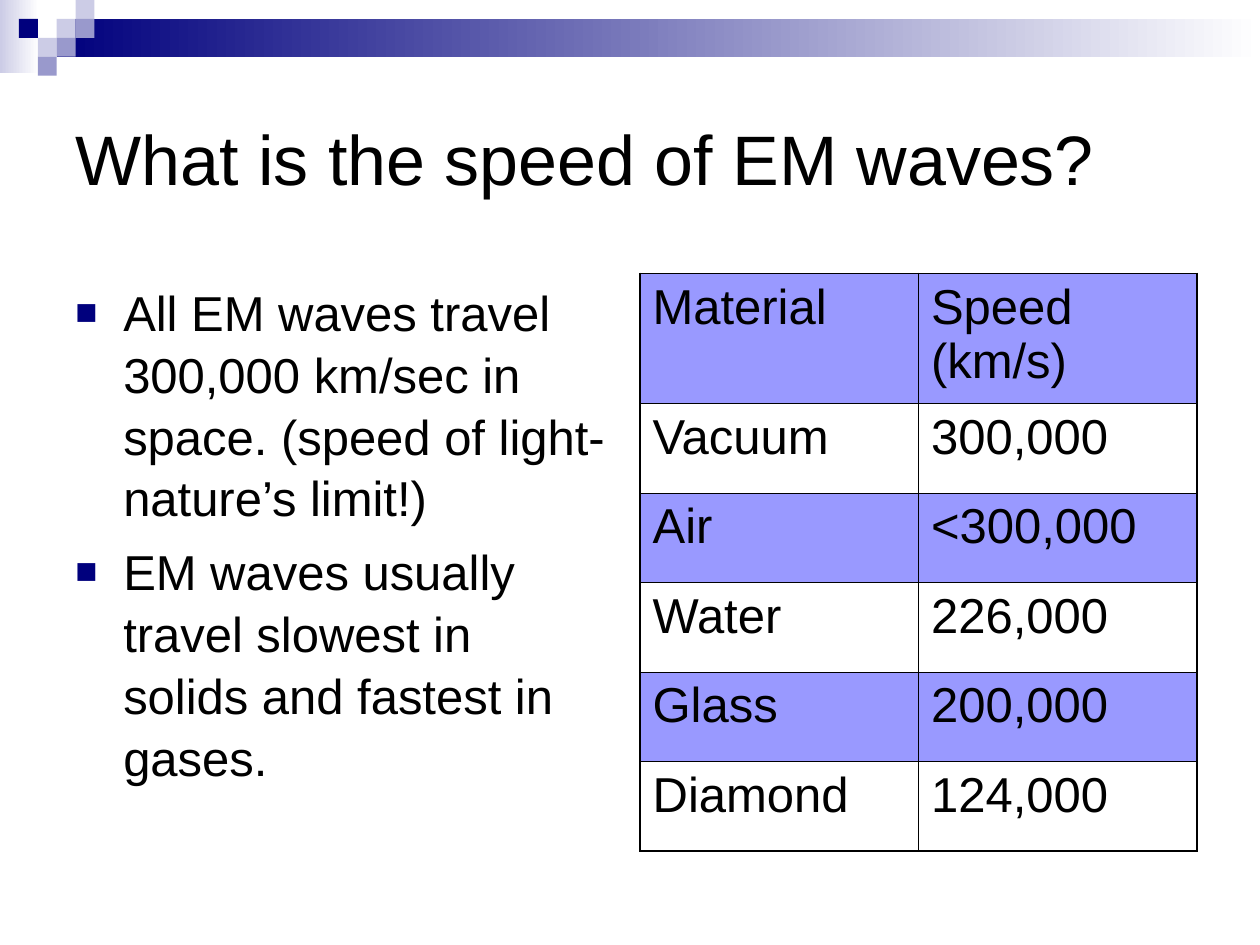
from typing import NamedTuple

from lxml.etree import SubElement
from pptx import Presentation
from pptx.dml.color import RGBColor
from pptx.enum.shapes import MSO_SHAPE
from pptx.enum.text import MSO_ANCHOR, MSO_AUTO_SIZE, PP_ALIGN
from pptx.oxml.ns import qn
from pptx.util import Inches, Pt

BLACK = RGBColor(0x00, 0x00, 0x00)
WHITE = RGBColor(0xFF, 0xFF, 0xFF)
NAVY = RGBColor(0x00, 0x00, 0x7D)
LILAC = RGBColor(0xCC, 0xCC, 0xE6)
MAUVE = RGBColor(0x99, 0x99, 0xCC)
PERIWINKLE = RGBColor(0x99, 0x99, 0xFF)

FONT = "Arial"
UNIT = 0.15  # side of a square in the corner mosaic
MARGIN = 0.5
CONTENT_TOP = 2.17
COLUMN_WIDTH = 4.42
TABLE_LEFT = 10 - MARGIN - COLUMN_WIDTH
HEADER_HEIGHT, ROW_HEIGHT = 1.03, 0.71
INNER_LINE, OUTER_LINE = 0.45, 1.08

FACTS = [
    "All EM waves travel 300,000 km/sec in space. (speed of light-nature’s limit!)",
    "EM waves usually travel slowest in solids and fastest in gases.",
]
SPEEDS = [
    ("Material", "Speed (km/s)"),
    ("Vacuum", "300,000"),
    ("Air", "<300,000"),
    ("Water", "226,000"),
    ("Glass", "200,000"),
    ("Diamond", "124,000"),
]


class Band(NamedTuple):
    """A rectangle fading to white, in inches."""
    left: float
    top: float
    width: float
    height: float
    color: RGBColor


class Tile(NamedTuple):
    column: int
    row: int
    color: RGBColor


BANDS = [Band(0, 0, 0.31, 0.58, LILAC), Band(0.45, 0.15, 9.55, 0.3, NAVY)]
TILES = [
    Tile(3, 1, LILAC), Tile(4, 0, LILAC), Tile(4, 1, MAUVE), Tile(2, 2, LILAC),
    Tile(1, 1, NAVY), Tile(3, 2, MAUVE), Tile(2, 3, MAUVE),
]


def add_rectangle(slide, left: float, top: float, width: float, height: float):
    rectangle = slide.shapes.add_shape(
        MSO_SHAPE.RECTANGLE, Inches(left), Inches(top), Inches(width), Inches(height))
    rectangle.shadow.inherit = False
    rectangle.line.fill.background()
    return rectangle


def draw_band(slide, band: Band) -> None:
    fill = add_rectangle(slide, *band[:4]).fill
    fill.gradient()
    fill.gradient_angle = 0
    for stop, color in zip(fill.gradient_stops, (band.color, WHITE)):
        stop.color.rgb = color


def draw_tile(slide, tile: Tile) -> None:
    fill = add_rectangle(slide, tile.column * UNIT, tile.row * UNIT, UNIT, UNIT).fill
    fill.solid()
    fill.fore_color.rgb = tile.color


def add_bullet(paragraph) -> None:
    properties = paragraph._p.get_or_add_pPr()
    properties.set("marL", str(Inches(0.38)))
    properties.set("indent", str(-Inches(0.38)))
    color = SubElement(properties, qn("a:buClr"))
    SubElement(color, qn("a:srgbClr"), val=str(NAVY))
    SubElement(properties, qn("a:buSzPct"), val="75000")
    SubElement(properties, qn("a:buFont"), typeface=FONT)
    SubElement(properties, qn("a:buChar"), char="■")


def write(frame, *texts: str, size: float = 28, bullets: bool = False,
          anchor=MSO_ANCHOR.TOP, line_spacing: float = 1.0) -> None:
    """Put one paragraph per text into a shape's or cell's text frame."""
    frame.word_wrap = True
    frame.vertical_anchor = anchor
    for index, text in enumerate(texts):
        paragraph = frame.paragraphs[0] if index == 0 else frame.add_paragraph()
        paragraph.text = text
        if bullets:
            add_bullet(paragraph)
        paragraph.alignment = PP_ALIGN.LEFT
        paragraph.line_spacing = line_spacing
        if index:
            paragraph.space_before = Pt(7)
        paragraph.font.size = Pt(size)
        paragraph.font.name = FONT
        paragraph.font.color.rgb = BLACK


def set_borders(cell, **widths: float) -> None:
    properties = cell._tc.get_or_add_tcPr()
    for side, width in widths.items():
        line = SubElement(properties, qn(f"a:ln{side}"), w=str(Pt(width)))
        fill = SubElement(line, qn("a:solidFill"))
        SubElement(fill, qn("a:srgbClr"), val=str(BLACK))


def draw_speed_table(slide) -> None:
    row_count, column_count = len(SPEEDS), len(SPEEDS[0])
    height = HEADER_HEIGHT + (row_count - 1) * ROW_HEIGHT
    table = slide.shapes.add_table(
        row_count, column_count, Inches(TABLE_LEFT), Inches(CONTENT_TOP),
        Inches(COLUMN_WIDTH), Inches(height)).table
    table.first_row = table.horz_banding = False

    def width_at(is_edge: bool) -> float:
        return OUTER_LINE if is_edge else INNER_LINE

    for row, entries in enumerate(SPEEDS):
        table.rows[row].height = Inches(ROW_HEIGHT if row else HEADER_HEIGHT)
        for column, entry in enumerate(entries):
            cell = table.cell(row, column)
            write(cell.text_frame, entry)
            cell.vertical_anchor = MSO_ANCHOR.TOP
            set_borders(cell, L=width_at(column == 0),
                        R=width_at(column == column_count - 1),
                        T=width_at(row == 0), B=width_at(row == row_count - 1))
            if row % 2 == 0:
                cell.fill.solid()
                cell.fill.fore_color.rgb = PERIWINKLE
            else:
                cell.fill.background()


def main() -> None:
    presentation = Presentation()
    presentation.slide_width, presentation.slide_height = Inches(10), Inches(7.5)
    slide = presentation.slides.add_slide(presentation.slide_layouts[5])

    for band in BANDS:
        draw_band(slide, band)
    for tile in TILES:
        draw_tile(slide, tile)

    title = slide.shapes.title
    title.left, title.top = Inches(MARGIN), Inches(0.5)
    title.width, title.height = Inches(10 - 2 * MARGIN), Inches(1.5)
    title.text_frame.auto_size = MSO_AUTO_SIZE.NONE
    write(title.text_frame, "What is the speed of EM waves?", size=40,
          anchor=MSO_ANCHOR.MIDDLE)

    facts = slide.shapes.add_textbox(
        Inches(MARGIN), Inches(CONTENT_TOP), Inches(COLUMN_WIDTH), Inches(4.25))
    write(facts.text_frame, *FACTS, bullets=True, line_spacing=1.05)

    draw_speed_table(slide)
    presentation.save("out.pptx")


if __name__ == "__main__":
    main()
